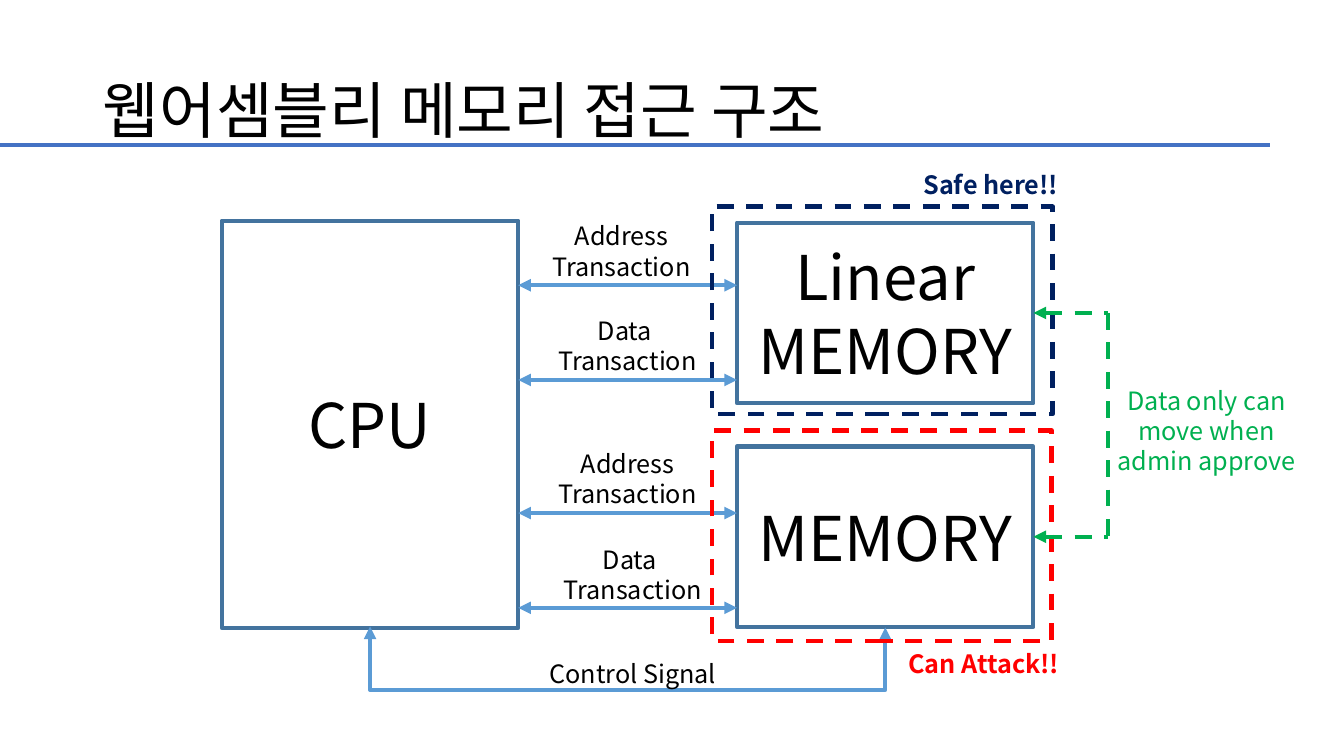
"""Builds the slide on the memory access structure of WebAssembly."""
from dataclasses import dataclass
from typing import Optional

from lxml.etree import SubElement
from pptx import Presentation
from pptx.dml.color import RGBColor
from pptx.enum.dml import MSO_LINE
from pptx.enum.shapes import MSO_CONNECTOR as Connector, MSO_SHAPE as Shape
from pptx.enum.text import MSO_ANCHOR as Anchor, MSO_AUTO_SIZE as AutoSize, PP_ALIGN as Align
from pptx.oxml.ns import qn
from pptx.util import Inches, Pt


@dataclass(frozen=True)
class Theme:
    font: str = "Noto Sans CJK KR"
    text: str = "000000"
    rule: str = "4472C4"
    box: str = "43739E"
    bus: str = "5B9BD5"
    safe: str = "002060"
    attack: str = "FF0000"
    approve: str = "00B050"
    large: int = 44
    small: int = 18
    line: int = 3


@dataclass(frozen=True)
class Box:
    left: float
    top: float
    width: float
    height: float
    color: str
    text: str = ""
    dashed: bool = False

    @property
    def right(self) -> float:
        return self.left + self.width

    @property
    def middle(self) -> float:
        return self.top + self.height / 2

    @property
    def center(self) -> float:
        return self.left + self.width / 2


@dataclass(frozen=True)
class Label:
    left: float
    top: float
    width: float
    height: float
    text: str
    color: str
    bold: bool = False
    align: Align = Align.CENTER


@dataclass(frozen=True)
class Line:
    start: tuple[float, float]
    end: tuple[float, float]
    color: str
    head: bool = False
    tail: bool = False
    dashed: bool = False


THEME = Theme()
CPU = Box(2.2, 2.19, 2.94, 4.04, THEME.box, "CPU")
LINEAR = Box(7.31, 2.21, 2.94, 1.79, THEME.box, "Linear\nMEMORY")
MEMORY = Box(7.31, 4.43, 2.94, 1.79, THEME.box, "MEMORY")
ZONES = (
    Box(7.06, 2.05, 3.38, 2.06, THEME.safe, dashed=True),
    Box(7.06, 4.27, 3.37, 2.09, THEME.attack, dashed=True),
)
BUS_LEVELS = (2.83, 3.77, 5.09, 6.03)
APPROVAL_X = 10.99
CONTROL_DEPTH = 0.64
CONTROL_STEP = 0.01
LABELS = (
    Label(5.33, 2.14, 1.67, 0.71, "Address Transaction", THEME.text),
    Label(5.39, 3.08, 1.67, 0.71, "Data \nTransaction", THEME.text),
    Label(5.39, 4.4, 1.67, 0.71, "Address Transaction", THEME.text),
    Label(5.44, 5.35, 1.67, 0.71, "Data \nTransaction", THEME.text),
    Label(5.15, 6.48, 2.25, 0.4, "Control Signal", THEME.text),
    Label(10.82, 3.77, 2.29, 1.01, "Data only can move when admin approve", THEME.approve),
    Label(8.91, 6.38, 2.17, 0.4, "Can Attack!!", THEME.attack, True, Align.LEFT),
    Label(9.06, 1.63, 2.17, 0.4, "Safe here!!", THEME.safe, True, Align.LEFT),
)


def write(paragraph, text: str, size: int, color: str, bold: bool = False) -> None:
    for index, part in enumerate(text.split("\n")):
        if index:
            paragraph.add_line_break()
        run = paragraph.add_run()
        run.text = part
        run.font.size = Pt(size)
        run.font.bold = bold
        run.font.color.rgb = RGBColor.from_string(color)
        run.font.name = THEME.font
        SubElement(run.font._element, qn("a:ea"), typeface=THEME.font)


def style_line(line, color: str, dashed: bool) -> None:
    line.color.rgb = RGBColor.from_string(color)
    line.width = Pt(THEME.line)
    if dashed:
        line.dash_style = MSO_LINE.DASH


def finish_connector(connector, line: Line) -> None:
    style_line(connector.line, line.color, line.dashed)
    outline = connector.line._get_or_add_ln()
    for wanted, tag in ((line.head, "a:headEnd"), (line.tail, "a:tailEnd")):
        if wanted:
            SubElement(outline, qn(tag), type="triangle")
    SubElement(connector._element.spPr, qn("a:effectLst"))


def add_line(slide, line: Line):
    ends = [Inches(value) for value in line.start + line.end]
    connector = slide.shapes.add_connector(Connector.STRAIGHT, *ends)
    finish_connector(connector, line)
    return connector


def add_box(slide, box: Box):
    bounds = [Inches(value) for value in (box.left, box.top, box.width, box.height)]
    shape = slide.shapes.add_shape(Shape.RECTANGLE, *bounds)
    shape.shadow.inherit = False
    shape.fill.background()
    style_line(shape.line, box.color, box.dashed)
    if box.text:
        shape.text_frame.vertical_anchor = Anchor.MIDDLE
        paragraph = shape.text_frame.paragraphs[0]
        paragraph.alignment = Align.CENTER
        write(paragraph, box.text, THEME.large, THEME.text)
    return shape


def add_label(slide, label: Label) -> None:
    bounds = [Inches(value) for value in (label.left, label.top, label.width, label.height)]
    frame = slide.shapes.add_textbox(*bounds).text_frame
    frame.word_wrap = True
    frame.auto_size = AutoSize.SHAPE_TO_FIT_TEXT
    paragraph = frame.paragraphs[0]
    paragraph.alignment = label.align
    write(paragraph, label.text, THEME.small, label.color, label.bold)


def add_control_line(slide) -> None:
    span = MEMORY.center - CPU.center
    middle_x = (CPU.center + MEMORY.center) / 2
    connector = slide.shapes.add_connector(Connector.ELBOW, 0, 0, 0, 0)
    connector.left = Inches(middle_x - CONTROL_STEP / 2)
    connector.top = Inches(MEMORY.top + MEMORY.height - span / 2)
    connector.width, connector.height = Inches(CONTROL_STEP), Inches(span)
    properties = connector._element.spPr
    transform = properties.find(qn("a:xfrm"))
    transform.set("rot", str(270 * 60000))
    transform.set("flipH", "1")
    guides = properties.find(qn("a:prstGeom")).get_or_add_avLst()
    ratio = round(CONTROL_DEPTH / CONTROL_STEP * 100000)
    SubElement(guides, qn("a:gd"), name="adj1", fmla=f"val {ratio}")
    finish_connector(connector, Line((0, 0), (0, 0), THEME.bus, True, True))


def add_title(slide) -> None:
    title = slide.shapes.title
    title.left, title.top = Inches(0.92), Inches(0.4)
    title.width, title.height = Inches(11.5), Inches(1.45)
    title.text_frame.vertical_anchor = Anchor.MIDDLE
    paragraph = title.text_frame.paragraphs[0]
    paragraph.alignment = Align.LEFT
    paragraph.line_spacing = 0.9
    write(paragraph, "웹어셈블리 메모리 접근 구조", THEME.large, THEME.text)


def main() -> None:
    presentation = Presentation()
    presentation.slide_width, presentation.slide_height = Inches(13.33), Inches(7.5)
    slide = presentation.slides.add_slide(presentation.slide_layouts[5])
    add_title(slide)
    add_line(slide, Line((0, 1.44), (12.6, 1.44), THEME.rule))
    add_box(slide, CPU)
    memories = [(box, add_box(slide, box)) for box in (LINEAR, MEMORY)]
    for level in BUS_LEVELS:
        add_line(slide, Line((CPU.right, level), (LINEAR.left, level), THEME.bus, True, True))
    add_control_line(slide)
    for zone in ZONES:
        add_box(slide, zone)
    for box, shape in memories:
        arrow = Line((box.right, box.middle), (APPROVAL_X, box.middle), THEME.approve, head=True, dashed=True)
        add_line(slide, arrow).begin_connect(shape, 3)
    add_line(slide, Line((APPROVAL_X, LINEAR.middle), (APPROVAL_X, MEMORY.middle), THEME.approve, dashed=True))
    for label in LABELS:
        add_label(slide, label)
    presentation.save("out.pptx")


if __name__ == "__main__":
    main()
